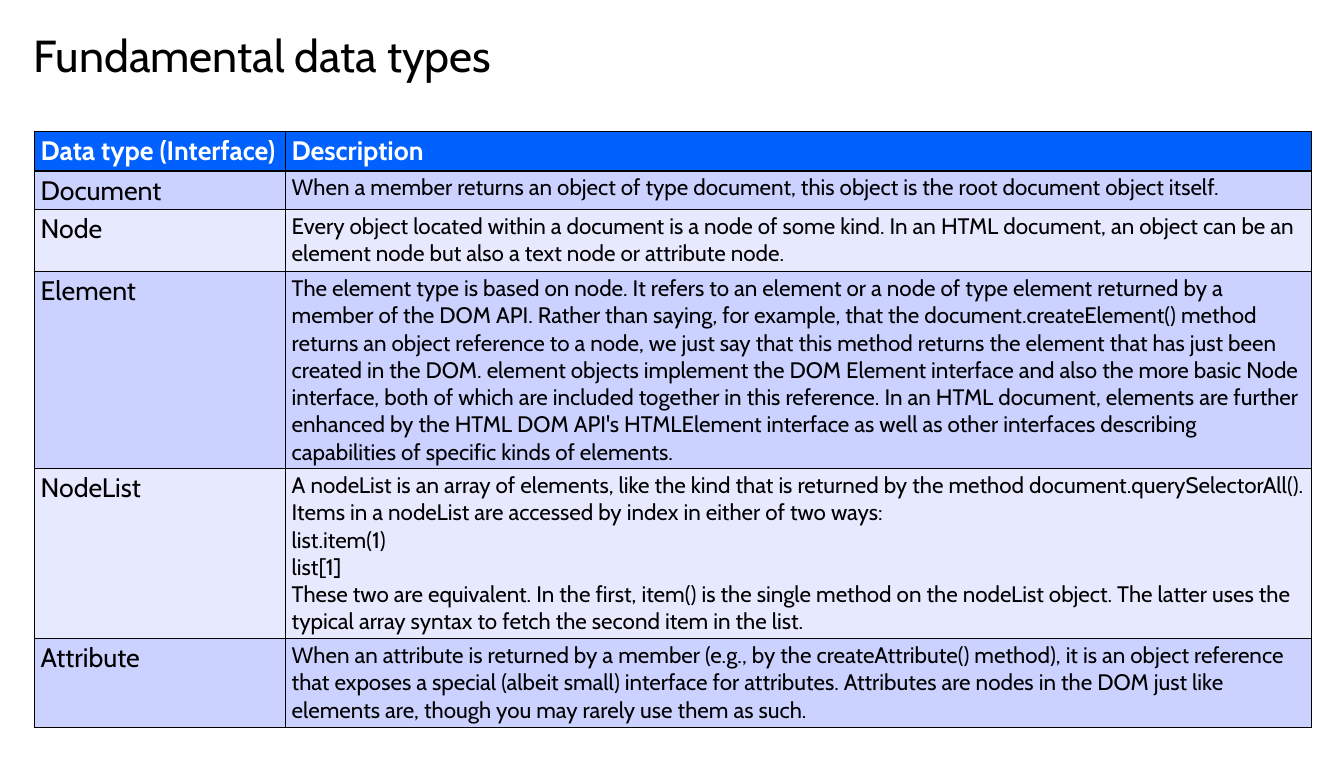
from lxml import etree
from pptx import Presentation
from pptx.dml.color import RGBColor
from pptx.enum.text import MSO_ANCHOR
from pptx.oxml.ns import qn
from pptx.util import Emu, Pt

TOP = MSO_ANCHOR.TOP
PX = 914400 / 67.2
FONT = "Cabin"
COLORS = {"head": "0061FF", "odd": "CCD2FF", "even": "E7EAFF",
          "ink": "000000", "white": "FFFFFF"}

TITLE = "Fundamental data types"
HEADS = ("Data type (Interface)", "Description")
# type name, row height in px, paragraphs of the description
TYPES = [
    ("Document", 38, [
        "When a member returns an object of type document, this object is "
        "the root document object itself."]),
    ("Node", 62, [
        "Every object located within a document is a node of some kind. In an "
        "HTML document, an object can be an element node but also a text node "
        "or attribute node."]),
    ("Element", 197, [
        "The element type is based on node. It refers to an element or a node "
        "of type element returned by a member of the DOM API. Rather than "
        "saying, for example, that the document.createElement() method returns "
        "an object reference to a node, we just say that this method returns "
        "the element that has just been created in the DOM. element objects "
        "implement the DOM Element interface and also the more basic Node "
        "interface, both of which are included together in this reference. In "
        "an HTML document, elements are further enhanced by the HTML DOM API's "
        "HTMLElement interface as well as other interfaces describing "
        "capabilities of specific kinds of elements."]),
    ("NodeList", 170, [
        "A nodeList is an array of elements, like the kind that is returned by "
        "the method document.querySelectorAll(). Items in a nodeList are "
        "accessed by index in either of two ways:",
        "list.item(1)",
        "list[1]",
        "These two are equivalent. In the first, item() is the single method "
        "on the nodeList object. The latter uses the typical array syntax to "
        "fetch the second item in the list."]),
    ("Attribute", 89, [
        "When an attribute is returned by a member (e.g., by the "
        "createAttribute() method), it is an object reference that exposes a "
        "special (albeit small) interface for attributes. Attributes are nodes "
        "in the DOM just like elements are, though you may rarely use them as "
        "such."]),
]
HEAD_TALL = 40
COLS = (251, 1026)
LEFT, TABLE_TOP = 34, 131


def px(n):
    return Emu(round(n * PX))


def rgb(name):
    return RGBColor.from_string(COLORS[name])


def write(frame, paras, size, color="ink", bold=False, space=1.0):
    frame.word_wrap = True
    for i, text in enumerate(paras):
        para = frame.add_paragraph() if i else frame.paragraphs[0]
        para.line_spacing = space
        run = para.add_run()
        run.text = text
        font = run.font
        font.name, font.size, font.bold = FONT, Pt(size), bold
        font.color.rgb = rgb(color)


def border(cell, **widths):
    """Draw the sides L, R, T and B, with widths in points."""
    props = cell._tc.get_or_add_tcPr()
    for i, (side, width) in enumerate(widths.items()):
        line = etree.Element(qn("a:ln" + side), w=str(Pt(width)))
        fill = etree.SubElement(line, qn("a:solidFill"))
        etree.SubElement(fill, qn("a:srgbClr"), val=COLORS["ink"])
        props.insert(i, line)


def add_title(slide):
    frame = slide.shapes.add_textbox(
        px(LEFT), px(34), px(605), px(118)).text_frame
    frame.margin_left = frame.margin_right = 0
    frame.margin_top = frame.margin_bottom = 0
    frame.vertical_anchor = TOP
    write(frame, [TITLE], 48, space=0.9)


def add_types(slide):
    rows = [(HEAD_TALL, [[text] for text in HEADS])]
    rows += [(tall, [[name], paras]) for name, tall, paras in TYPES]
    table = slide.shapes.add_table(
        len(rows), len(COLS), px(LEFT), px(TABLE_TOP),
        px(sum(COLS)), px(sum(tall for tall, _ in rows))).table
    table.first_row = True
    table.horz_banding = False
    for col, wide in zip(table.columns, COLS):
        col.width = px(wide)
    for r, (tall, texts) in enumerate(rows):
        table.rows[r].height = px(tall)
        head = r == 0
        shade = "head" if head else "odd" if r % 2 else "even"
        for c, paras in enumerate(texts):
            cell = table.cell(r, c)
            cell.fill.solid()
            cell.fill.fore_color.rgb = rgb(shade)
            border(cell, L=1, R=1, T=3 if r == 1 else 1, B=3 if head else 1)
            write(cell.text_frame, paras, 28.6 if head or c == 0 else 24,
                  color="white" if head else "ink", bold=head)


def main():
    deck = Presentation()
    deck.slide_width, deck.slide_height = px(1344), px(757)
    slide = deck.slides.add_slide(deck.slide_layouts[6])
    add_title(slide)
    add_types(slide)
    deck.save("out.pptx")


if __name__ == "__main__":
    main()
